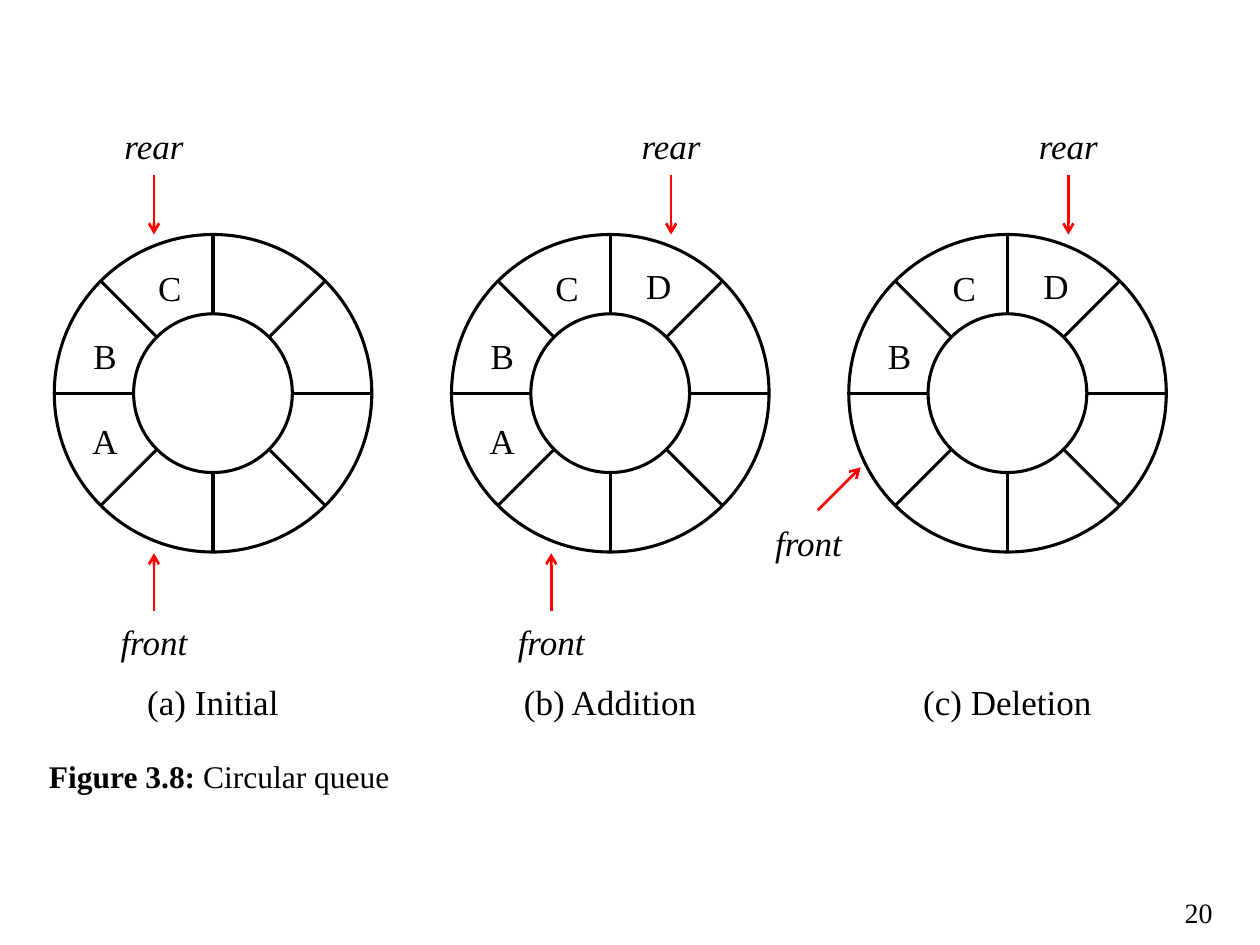
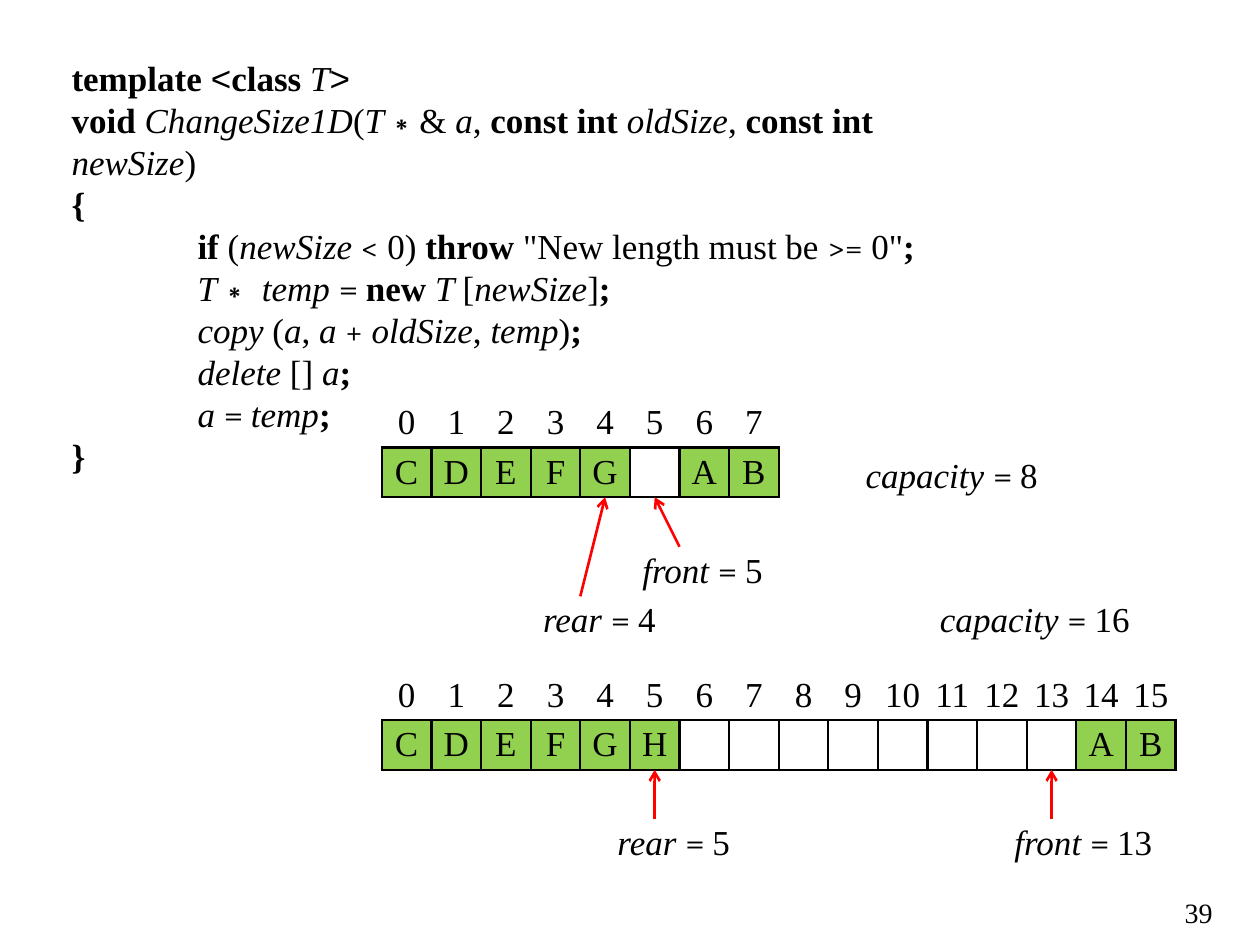
from math import cos, pi, sin

from lxml import etree
from pptx import Presentation
from pptx.dml.color import RGBColor
from pptx.enum.shapes import MSO_CONNECTOR, MSO_SHAPE
from pptx.enum.text import MSO_ANCHOR, PP_ALIGN
from pptx.oxml.ns import qn
from pptx.util import Pt

STRAIGHT = MSO_CONNECTOR.STRAIGHT
OVAL = MSO_SHAPE.OVAL
TOP, MIDDLE, BOTTOM = MSO_ANCHOR.TOP, MSO_ANCHOR.MIDDLE, MSO_ANCHOR.BOTTOM
LEFT, CENTER, RIGHT = PP_ALIGN.LEFT, PP_ALIGN.CENTER, PP_ALIGN.RIGHT

BLACK, WHITE, RED, GREEN = "000000", "FFFFFF", "FF0000", "92D050"
SERIF, SANS, MATH = "Times New Roman", "Arial", "Cambria"
BODY_SIZE = 20

RING_SIZE = 181.44
RING_TOP = 134
RING_LEFT = 31
RING_STEP = 227
LABEL_WIDTH, LABEL_HEIGHT = 68, 34
SLOTS = {"A": (29, 118), "B": (29, 69), "C": (66, 30), "D": (118.5, 29)}
RINGS = [
    ("(a) Initial", "ABC", 57, True),
    ("(b) Addition", "ABCD", 125.5, True),
    ("(c) Deletion", "BCD", 125.5, False),
]

CELL = 28.35
ARRAY_LEFT = 218.2

CODE = [
    (0, [("template ", "b"), ("<", "s"), ("class ", "b"), ("T", "i"), (">", "s")]),
    (0, [("void ", "b"), ("ChangeSize1D", "i"), ("(", ""), ("T", "i"), ("∗", "s"),
         ("& ", ""), ("a", "i"), (", ", ""), ("const int ", "b"), ("oldSize", "i"),
         (", ", ""), ("const int ", "b"), ("newSize", "i"), (")", "")]),
    (0, [("{", "b")]),
    (1, [("if ", "b"), ("(", ""), ("newSize ", "i"), ("<", "ms"), (" 0)", ""),
         (" throw", "b"), (' "New length must be ', ""), (">=", "ms"), (' 0"', ""),
         (";", "b")]),
    (1, [("T", "i"), ("∗ ", "s"), ("temp ", "i"), ("= ", "m"), ("new ", "b"),
         ("T ", "i"), ("[", ""), ("newSize", "i"), ("]", ""), (";", "b")]),
    (1, [("copy ", "i"), ("(", ""), ("a", "i"), (", ", ""), ("a ", "i"), ("+", "ms"),
         (" ", ""), ("oldSize", "i"), (", ", ""), ("temp", "i"), (")", ""), (";", "b")]),
    (1, [("delete", "i"), (" [] ", ""), ("a", "i"), (";", "b")]),
    (1, [("a ", "i"), ("= ", "m"), ("temp", "i"), (";", "b")]),
    (0, [("}", "b")]),
]


def color(hex_code):
    return RGBColor.from_string(hex_code)


def add_spans(para, spans, size=BODY_SIZE):
    for text, style in spans:
        span = para.add_run()
        span.text = text
        span.font.name = MATH if "m" in style else SANS if "s" in style else SERIF
        span.font.size = Pt(18 if style == "ms" else size)
        span.font.bold = "b" in style
        span.font.italic = "i" in style
        span.font.color.rgb = color(BLACK)


def add_box(page, left, top, width, height, wrap=True, anchor=TOP):
    box = page.shapes.add_textbox(Pt(left), Pt(top), Pt(width), Pt(height))
    box.text_frame.word_wrap = wrap
    box.text_frame.vertical_anchor = anchor
    return box


def add_text(page, spans, left, top, width, height, align=LEFT, size=BODY_SIZE,
             wrap=True, anchor=TOP):
    box = add_box(page, left, top, width, height, wrap, anchor)
    para = box.text_frame.paragraphs[0]
    para.alignment = align
    add_spans(para, spans, size)
    return box


def add_label(page, text, center, top, width=LABEL_WIDTH, style=""):
    return add_text(page, [(text, style)], center - width / 2, top, width,
                    LABEL_HEIGHT, CENTER, wrap=False, anchor=MIDDLE)


def add_line(page, start, end, line_color=BLACK, width=1.75, arrow=False):
    line = page.shapes.add_connector(STRAIGHT, *(Pt(value) for value in (*start, *end)))
    line.line.color.rgb = color(line_color)
    line.line.width = Pt(width)
    properties = line._element.spPr
    if arrow:
        etree.SubElement(properties.find(qn("a:ln")), qn("a:tailEnd"), type="arrow")
    etree.SubElement(properties, qn("a:effectLst"))
    return line


def add_arrow(page, start, end):
    return add_line(page, start, end, RED, 1.5, True)


def add_circle(page, center_x, center_y, radius, fill=None):
    circle = page.shapes.add_shape(OVAL, Pt(center_x - radius), Pt(center_y - radius),
                                   Pt(2 * radius), Pt(2 * radius))
    circle.shadow.inherit = False
    circle.line.color.rgb = color(BLACK)
    circle.line.width = Pt(1.75)
    if fill:
        circle.fill.solid()
        circle.fill.fore_color.rgb = color(fill)
    else:
        circle.fill.background()


def add_page(deck, number):
    page = deck.slides.add_slide(deck.slide_layouts[6])
    add_text(page, [(str(number), "")], 666, 508.3, 34, 23, RIGHT, 16)
    return page


def add_ring(page, left, top, caption, items, rear_offset, front_below):
    radius = RING_SIZE / 2
    center_x, center_y = left + radius, top + radius
    add_circle(page, center_x, center_y, radius)
    for step in range(4):
        across, down = radius * cos(step * pi / 4), radius * sin(step * pi / 4)
        add_line(page, (center_x - across, center_y - down),
                 (center_x + across, center_y + down))
    add_circle(page, center_x, center_y, radius / 2, WHITE)
    for item in items:
        across, down = SLOTS[item]
        add_label(page, item, left + across, top + down - LABEL_HEIGHT / 2, LABEL_HEIGHT)

    rear_x = left + rear_offset
    rear = add_label(page, "rear", rear_x, top - 2 * LABEL_HEIGHT, style="i")
    add_arrow(page, (rear_x, top - LABEL_HEIGHT), (rear_x, top)).begin_connect(rear, 2)
    if front_below:
        front_x, bottom = left + 57, top + RING_SIZE
        front = add_label(page, "front", front_x, bottom + LABEL_HEIGHT, style="i")
        arrow = add_arrow(page, (front_x, bottom + LABEL_HEIGHT), (front_x, bottom + 0.7))
        arrow.begin_connect(front, 0)
    else:
        add_label(page, "front", left - 23, top + 159, style="i")
        add_arrow(page, (left - 17.7, top + 157.6), (left + 6.8, top + 133.1))
    add_label(page, caption, center_x, top + 250, 136)


def add_borders(cell, sides):
    properties = cell._tc.get_or_add_tcPr()
    for side in sides:
        border = etree.SubElement(properties, qn("a:ln" + side), w=str(Pt(1.5)))
        fill = etree.SubElement(border, qn("a:solidFill"))
        etree.SubElement(fill, qn("a:srgbClr"), val=BLACK)


def fill_cell(cell, text, sides, fill):
    cell.margin_left = cell.margin_right = cell.margin_top = cell.margin_bottom = 0
    cell.vertical_anchor = MIDDLE
    add_borders(cell, sides)
    if fill:
        cell.fill.solid()
        cell.fill.fore_color.rgb = color(fill)
    else:
        cell.fill.background()
    para = cell.text_frame.paragraphs[0]
    para.alignment = CENTER
    if text:
        add_spans(para, [(text, "")])
    else:
        para.font.size = Pt(BODY_SIZE)


def add_array(page, left, top, items, capacity_at, capacity_anchor, pointers):
    count = len(items)
    table = page.shapes.add_table(2, count, Pt(left), Pt(top), Pt(count * CELL),
                                  Pt(2 * CELL)).table
    table.first_row = table.horz_banding = False
    for row in table.rows:
        row.height = Pt(CELL)
    for index, item in enumerate(items):
        item = item.strip()
        table.columns[index].width = Pt(CELL)
        fill_cell(table.cell(0, index), str(index), "B", None)
        fill_cell(table.cell(1, index), item, "LRTB", GREEN if item else WHITE)

    def add_value(name, value, column, row, width, anchor):
        add_text(page, [(name + " ", "i"), ("= ", "m"), (str(value), "")],
                 left + column * CELL, top + row * CELL, width, CELL, anchor=anchor)

    add_value("capacity", count, *capacity_at, 127.5, capacity_anchor)
    for name, index, column, row in pointers:
        add_arrow(page, (left + column * CELL, top + row * CELL),
                  (left + (index + 0.5) * CELL, top + 2 * CELL))
        add_value(name, index, column - 1, row, 99, BOTTOM)


def add_code(page, left, top, width, height):
    frame = add_box(page, left, top, width, height).text_frame
    for number, (level, spans) in enumerate(CODE):
        para = frame.add_paragraph() if number else frame.paragraphs[0]
        para.line_spacing = Pt(24)
        para._p.get_or_add_pPr().set("marL", str(Pt(72 * level)))
        add_spans(para, spans)


def build_ring_page(deck):
    page = add_page(deck, 20)
    for number, ring in enumerate(RINGS):
        add_ring(page, RING_LEFT + number * RING_STEP, RING_TOP, *ring)
    add_text(page, [("Figure 3.8:", "b"), (" Circular queue", "")],
             20.9, 429.1, 215.3, 34, size=18)


def build_array_page(deck):
    page = add_page(deck, 39)
    add_code(page, 33.8, 28.8, 538.6, 226.8)
    add_array(page, ARRAY_LEFT, 227.4, "CDEFG AB", (9.5, 1), TOP,
              [("front", 5, 6, 3), ("rear", 4, 4, 4)])
    add_array(page, ARRAY_LEFT, 383.2, "CDEFGH" + "AB".rjust(10), (11, -1.5), BOTTOM,
              [("rear", 5, 5.5, 3), ("front", 13, 13.5, 3)])


def main():
    deck = Presentation()
    deck.slide_width, deck.slide_height = Pt(720), Pt(540)
    build_ring_page(deck)
    build_array_page(deck)
    deck.save("out.pptx")


if __name__ == "__main__":
    main()
